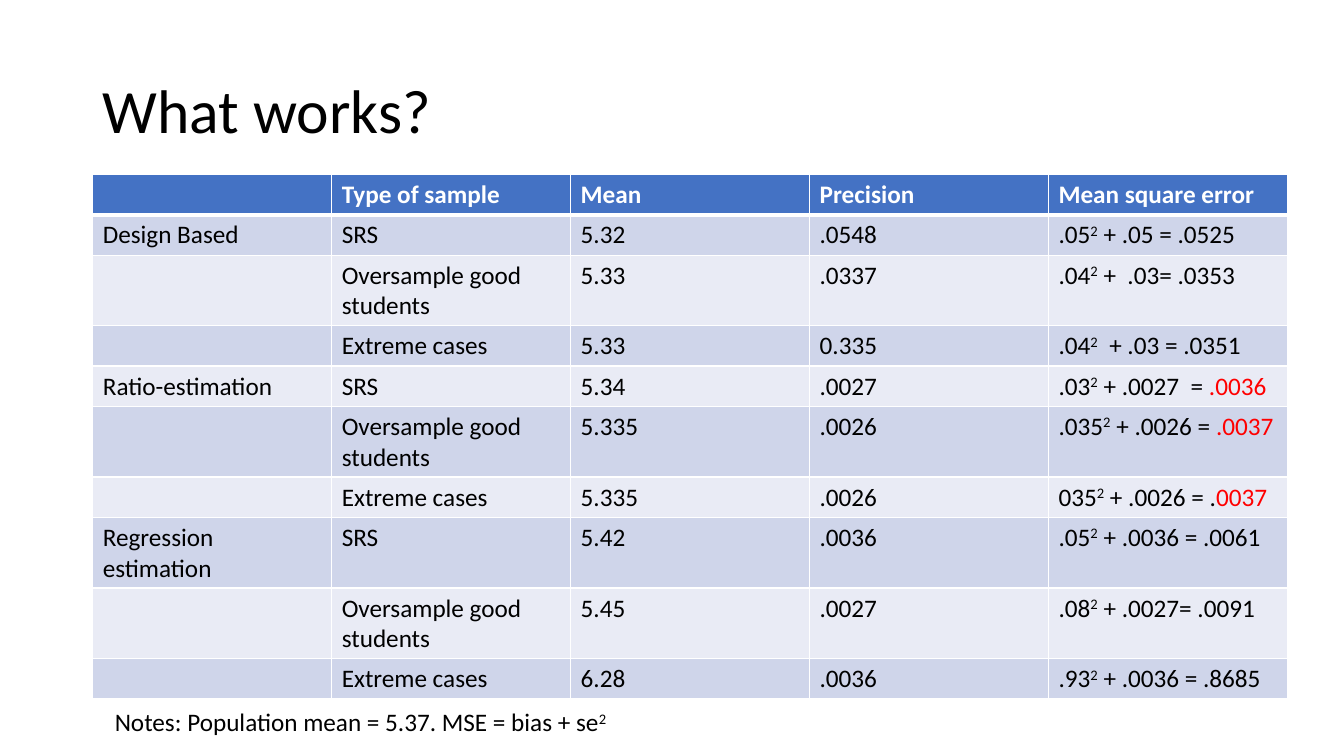
from dataclasses import dataclass
from typing import NamedTuple

from lxml.etree import SubElement
from pptx import Presentation
from pptx.dml.color import RGBColor
from pptx.enum.text import MSO_ANCHOR
from pptx.oxml.ns import qn
from pptx.util import Emu, Pt

EMU_PER_PX = 9144  # 100 px to the inch


def px(length: int) -> Emu:
    return Emu(length * EMU_PER_PX)


@dataclass(frozen=True)
class Theme:
    font: str = "Calibri"
    title_size: int = 44
    body_size: int = 18
    text: str = "000000"
    inverse: str = "FFFFFF"
    highlight: str = "FF0000"
    header_fill: str = "4472C4"
    band_fills: tuple[str, str] = ("CFD5EA", "E9EBF5")
    border: str = "FFFFFF"
    border_width: int = 1
    header_border_width: int = 3


THEME = Theme()


class Run(NamedTuple):
    text: str
    color: str = THEME.text
    size: int = THEME.body_size
    bold: bool = False
    superscript: bool = False


class Box(NamedTuple):
    left: int
    top: int
    width: int
    height: int


class Estimate(NamedTuple):
    method: str
    sample: str
    mean: str
    precision: str
    bias: str
    error: str
    highlighted: str = ""

    def cells(self) -> list[list[Run]]:
        labels = (self.method, self.sample, self.mean, self.precision)
        squared_error = [Run(self.bias), SQUARE, Run(self.error),
                         Run(self.highlighted, THEME.highlight)]
        return [[Run(label)] for label in labels] + [squared_error]


SQUARE = Run("2", superscript=True)
SRS, OVERSAMPLE, EXTREME = "SRS", "Oversample good students", "Extreme cases"
HEADERS = ("", "Type of sample", "Mean", "Precision", "Mean square error")
ESTIMATES = (
    Estimate("Design Based", SRS, "5.32", ".0548", ".05", " + .05 = .0525"),
    Estimate("", OVERSAMPLE, "5.33", ".0337", ".04", " +  .03= .0353"),
    Estimate("", EXTREME, "5.33", "0.335", ".04", "  + .03 = .0351"),
    Estimate("Ratio-estimation", SRS, "5.34", ".0027", ".03", " + .0027  =", " .0036"),
    Estimate("", OVERSAMPLE, "5.335", ".0026", ".035", " + .0026 =", " .0037"),
    Estimate("", EXTREME, "5.335", ".0026", "035", " + .0026 = .", "0037"),
    Estimate("Regression estimation", SRS, "5.42", ".0036", ".05", " + .0036 = .0061"),
    Estimate("", OVERSAMPLE, "5.45", ".0027", ".08", " + .0027= .0091"),
    Estimate("", EXTREME, "6.28", ".0036", ".93", " + .0036 = .8685"),
)
TITLE_BOX = Box(92, 40, 1150, 145)
NOTES_BOX = Box(104, 696, 950, 40)
TABLE_LEFT, TABLE_TOP, COLUMN_WIDTH, ROW_HEIGHT = 92, 173, 237, 40


def add_runs(paragraph, runs: list[Run]) -> None:
    for item in runs:
        if not item.text:
            continue
        run = paragraph.add_run()
        run.text = item.text
        run.font.name = THEME.font
        run.font.size = Pt(item.size)
        run.font.bold = item.bold
        run.font.color.rgb = RGBColor.from_string(item.color)
        if item.superscript:
            run.font._element.set("baseline", "30000")


def add_text(slide, box: Box, runs: list[Run], anchor=MSO_ANCHOR.TOP):
    frame = slide.shapes.add_textbox(*map(px, box)).text_frame
    frame.word_wrap = True
    frame.vertical_anchor = anchor
    add_runs(frame.paragraphs[0], runs)
    return frame.paragraphs[0]


def style_cell(cell, fill: str, bottom_width: int) -> None:
    cell.fill.solid()
    cell.fill.fore_color.rgb = RGBColor.from_string(fill)
    properties = cell._tc.get_or_add_tcPr()
    for index, side in enumerate(("lnL", "lnR", "lnT", "lnB")):
        width = bottom_width if side == "lnB" else THEME.border_width
        line = properties.makeelement(qn(f"a:{side}"), {"w": str(Pt(width))})
        solid = SubElement(line, qn("a:solidFill"))
        SubElement(solid, qn("a:srgbClr"), {"val": THEME.border})
        properties.insert(index, line)  # borders precede the fill


def add_estimates_table(slide) -> None:
    header = [[Run(label, THEME.inverse, bold=True)] for label in HEADERS]
    rows = [header] + [estimate.cells() for estimate in ESTIMATES]
    table = slide.shapes.add_table(
        len(rows), len(HEADERS), px(TABLE_LEFT), px(TABLE_TOP),
        px(COLUMN_WIDTH * len(HEADERS)), px(ROW_HEIGHT * len(rows))).table
    for row_index, row in enumerate(rows):
        is_header = row_index == 0
        fill = THEME.header_fill if is_header else THEME.band_fills[(row_index - 1) % 2]
        bottom_width = THEME.header_border_width if is_header else THEME.border_width
        for column_index, runs in enumerate(row):
            cell = table.cell(row_index, column_index)
            style_cell(cell, fill, bottom_width)
            add_runs(cell.text_frame.paragraphs[0], runs)


def main() -> None:
    presentation = Presentation()
    presentation.slide_width, presentation.slide_height = px(1333), px(750)
    slide = presentation.slides.add_slide(presentation.slide_layouts[6])

    # Title
    title = add_text(slide, TITLE_BOX, [Run("What works?", size=THEME.title_size)],
                     MSO_ANCHOR.MIDDLE)
    title.line_spacing = 0.9

    # Estimates by method and sample
    add_estimates_table(slide)

    # Notes under the table
    add_text(slide, NOTES_BOX,
             [Run("Notes: Population mean = 5.37. MSE = bias + se"), SQUARE])

    presentation.save("out.pptx")


if __name__ == "__main__":
    main()
